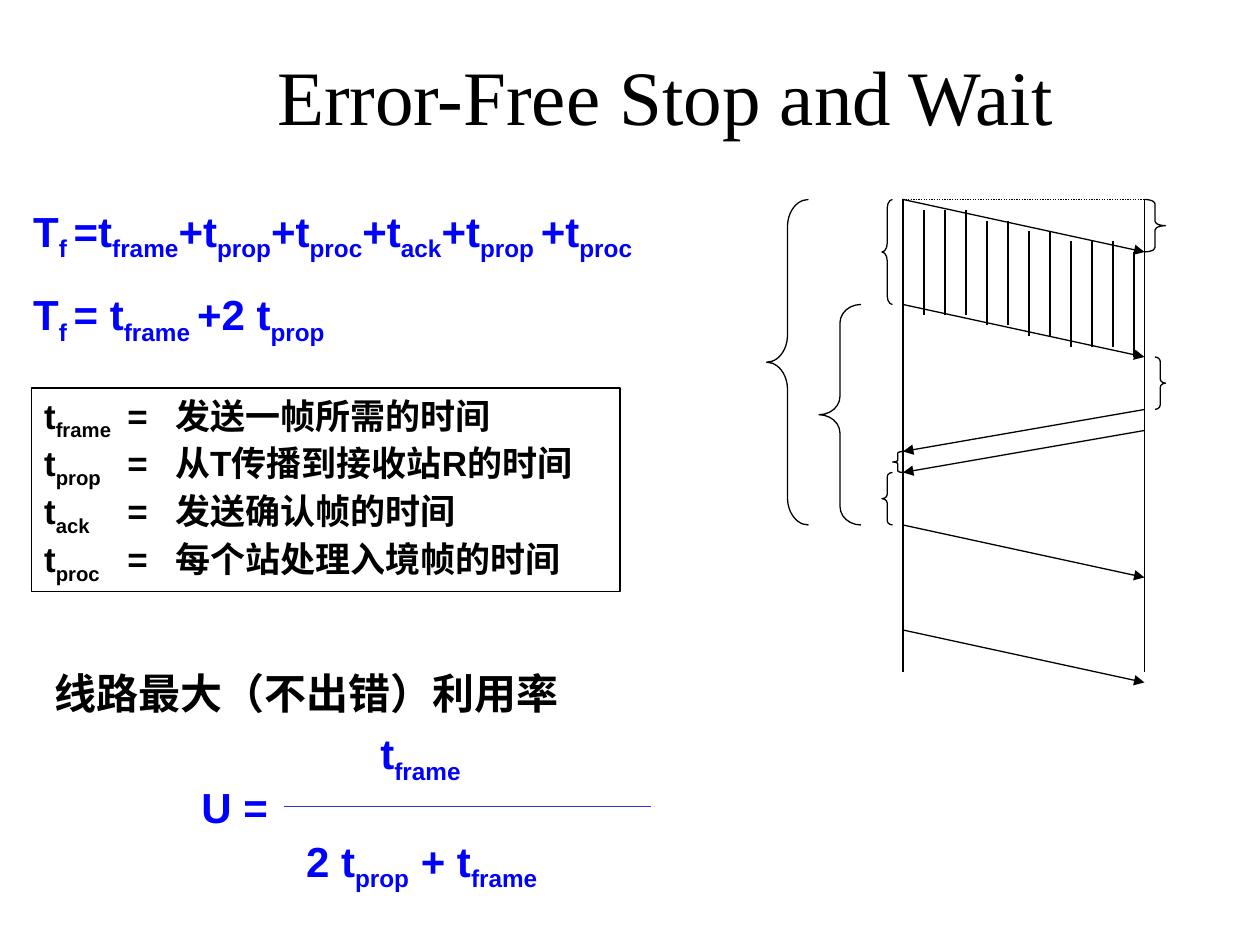
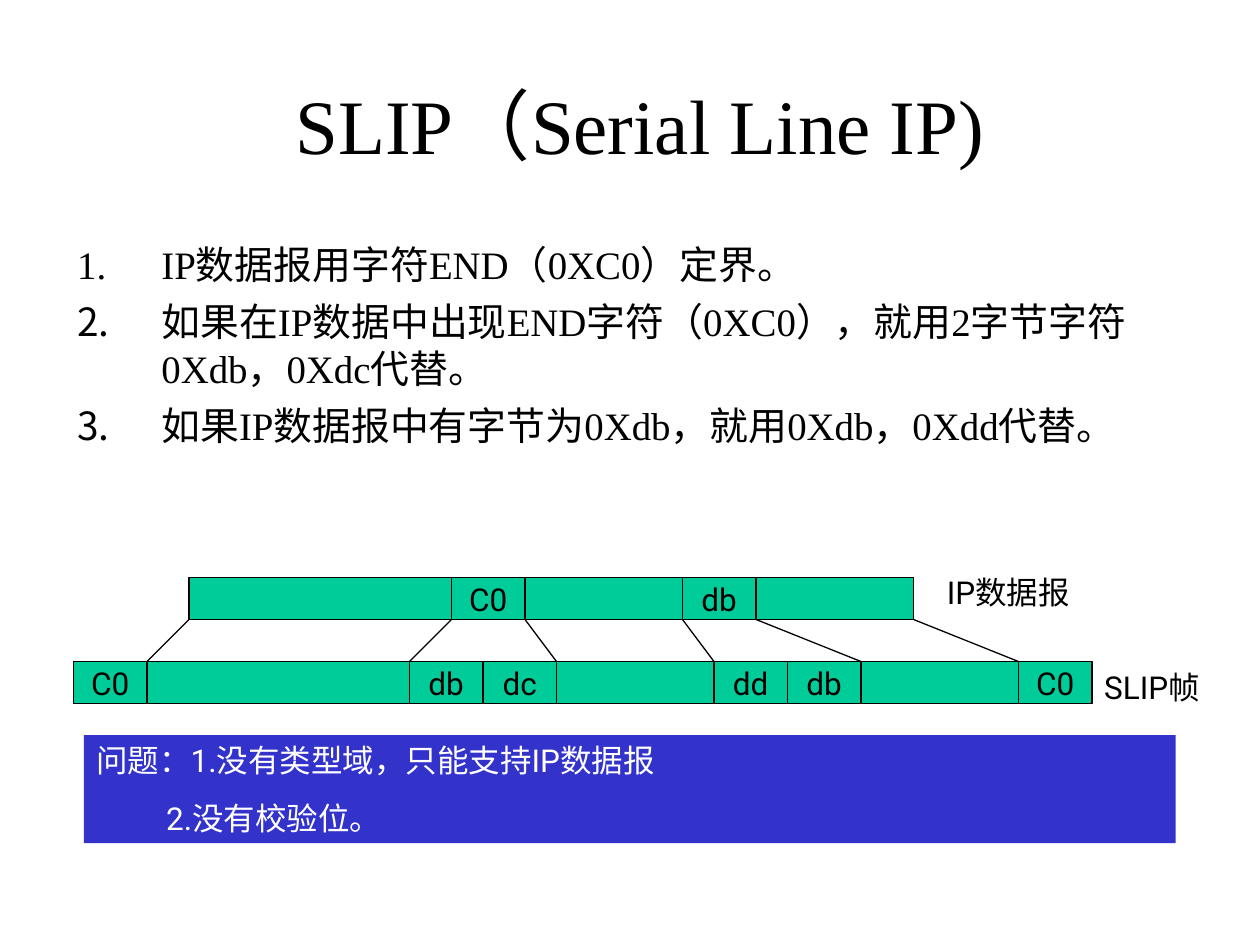
"""Build two data-link slides: stop-and-wait timing and SLIP framing."""
from itertools import accumulate

from lxml import etree
from pptx import Presentation
from pptx import util as u
from pptx.dml.color import RGBColor
from pptx.enum import dml, shapes, text
from pptx.oxml.ns import qn

BLACK = RGBColor(0x00, 0x00, 0x00)
WHITE = RGBColor(0xFF, 0xFF, 0xFF)
BLUE = RGBColor(0x00, 0x00, 0xFF)
INDIGO = RGBColor(0x33, 0x33, 0xCC)
GREEN = RGBColor(0x00, 0xCC, 0x99)
STEP = u.Cm(2.54) // 12
THIN = u.Pt(0.75)
LEFT, CENTER = text.PP_ALIGN.LEFT, text.PP_ALIGN.CENTER
TOP, MIDDLE = text.MSO_ANCHOR.TOP, text.MSO_ANCHOR.MIDDLE
RECT = shapes.MSO_SHAPE.RECTANGLE


def write(sp, content, font="Arial", size=24, color=BLACK, bold=False, align=LEFT,
          anchor=TOP, before=0, tabs=(), hanging=None, wrap=True):
    """Fill a shape with one paragraph per line; _x_ marks a subscript."""
    tf = sp.text_frame
    tf.word_wrap = wrap
    tf.auto_size = text.MSO_AUTO_SIZE.NONE
    tf.vertical_anchor = anchor
    for i, line in enumerate(content.split("\n")):
        p = tf.paragraphs[0] if i == 0 else tf.add_paragraph()
        pPr = p._p.get_or_add_pPr()
        if hanging:
            pPr.set("marL", str(hanging))
            pPr.set("indent", str(-hanging))
            etree.SubElement(pPr, qn("a:buFont"), typeface="+mj-lt")
            etree.SubElement(pPr, qn("a:buAutoNum"), type="arabicPeriod")
        if tabs:
            tab_list = etree.SubElement(pPr, qn("a:tabLst"))
            for pos in tabs:
                etree.SubElement(tab_list, qn("a:tab"), pos=str(pos), algn="l")
        p.alignment = align
        p.space_before = u.Pt(before if i else 0)
        for j, part in enumerate(line.split("_")):
            if part:
                r = p.add_run()
                r.text = part
                r.font.name, r.font.size, r.font.bold = font, u.Pt(size), bold
                r.font.color.rgb = color
                if j % 2:
                    r.font._element.set("baseline", "-25000")


def connect(slide, x1, y1, x2, y2, color=BLACK, arrow=False):
    """Draw a thin line between two points given in grid steps."""
    ends = [int(v * STEP) for v in (x1, y1, x2, y2)]
    ln = slide.shapes.add_connector(shapes.MSO_CONNECTOR.STRAIGHT, *ends)
    ln.line.color.rgb = color
    ln.line.width = THIN
    etree.SubElement(ln._element.spPr, qn("a:effectLst"))
    if arrow:
        etree.SubElement(ln.line._get_or_add_ln(), qn("a:tailEnd"), type="triangle")
    return ln


prs = Presentation()
prs.slide_width, prs.slide_height = u.Cm(25.4), u.Cm(19.05)
wait = prs.slides.add_slide(prs.slide_layouts[5])
slip = prs.slides.add_slide(prs.slide_layouts[1])

for s, title, box in (
    (wait, "Error-Free Stop and Wait", (3.1, 0, 20.62, 3.81)),
    (slip, "SLIP（Serial Line IP)", (2.11, 0.91, 21.59, 3.18)),
):
    sp = s.shapes.title
    sp.left, sp.top, sp.width, sp.height = map(u.Cm, box)
    write(sp, title, font="Times New Roman", size=44, align=CENTER, anchor=MIDDLE)

definitions = wait.shapes.add_shape(RECT, *map(u.Cm, (0.64, 7.82, 11.86, 4.11)))
definitions.shadow.inherit = False
definitions.fill.background()
definitions.line.color.rgb = BLACK
definitions.line.width = THIN
write(definitions,
      "t_frame_\t=\t发送一帧所需的时间\n"
      "t_prop_\t=\t从T传播到接收站R的时间\n"
      "t_ack_\t=\t发送确认帧的时间\n"
      "t_proc_\t=\t每个站处理入境帧的时间",
      size=20, bold=True, tabs=(u.Cm(1.68), u.Cm(2.64)))

for content, color, box in (
    ("U =", BLUE, (3.81, 15.62, 2.11, 1.27)),
    ("2 t_prop_ + t_frame_", BLUE, (5.92, 16.71, 7.42, 1.42)),
    ("t_frame_", BLUE, (7.42, 14.55, 3.38, 1.42)),
    ("T_f _=t_frame_+t_prop_+t_proc_+t_ack_+t_prop _+t_proc_\n"
     "T_f _= t_frame _+2 t_prop_", BLUE, (0.42, 4.01, 14.61, 4.78)),
    ("线路最大（不出错）利用率", BLACK, (0.85, 13.34, 10.8, 1.27)),
):
    sp = wait.shapes.add_textbox(*map(u.Cm, box))
    write(sp, content, color=color, bold=True, before=15)
connect(wait, 27, 76.8, 62, 76.8, color=INDIGO)

SENDER, RECEIVER = 86, 109
for x in (SENDER, RECEIVER):
    connect(wait, x, 19, x, 64)
for y in (19, 29, 50, 60):
    connect(wait, SENDER, y, RECEIVER, y + 5, arrow=True)
for y in (39, 41):
    connect(wait, RECEIVER, y, SENDER, y + 4, arrow=True)
start = connect(wait, SENDER, 19, RECEIVER, 19)
start.line.dash_style = dml.MSO_LINE.ROUND_DOT
for i, y in enumerate((20, 20, 20, 21, 21, 22, 22, 23, 23, 23, 24)):
    x = SENDER + 2 * (i + 1)
    connect(wait, x, y, x, y + 10)

for x, y, w, h in ((84, 19, 1, 10), (109, 19, 2, 5), (110, 34, 1, 5), (85, 43, 1, 2),
                   (84, 45, 1, 5), (78, 29, 4, 21), (73, 19, 4, 31)):
    kind = shapes.MSO_SHAPE.LEFT_BRACE if x < SENDER else shapes.MSO_SHAPE.RIGHT_BRACE
    brace = wait.shapes.add_shape(kind, x * STEP, y * STEP, w * STEP, h * STEP)
    brace.adjustments[0] = h / (12 * w)
    brace.shadow.inherit = False
    brace.fill.background()
    brace.line.color.rgb = BLACK
    brace.line.width = THIN

rules = slip.placeholders[1]
rules.left, rules.top, rules.width, rules.height = map(u.Cm, (1.3, 4.72, 23.39, 5.18))
write(rules,
      "IP数据报用字符END（0XC0）定界。\n"
      "如果在IP数据中出现END字符（0XC0），就用2字节字符0Xdb，0Xdc代替。\n"
      "如果IP数据报中有字节为0Xdb，就用0Xdb，0Xdd代替。",
      font="Times New Roman", size=22.2, before=6, hanging=u.Cm(1.7))

BYTE, SHORT, LONG = 7, 15, 25
for x0, y, fields in (
    (18, 55, (("", LONG), ("C0", BYTE), ("", SHORT), ("db", BYTE), ("", SHORT))),
    (7, 63, (("C0", BYTE), ("", LONG), ("db", BYTE), ("dc", BYTE), ("", SHORT),
             ("dd", BYTE), ("db", BYTE), ("", SHORT), ("C0", BYTE))),
):
    lefts = accumulate((w for _, w in fields), initial=x0)
    for x, (label, w) in zip(lefts, fields):
        sp = slip.shapes.add_shape(RECT, x * STEP, y * STEP, w * STEP, 4 * STEP)
        sp.shadow.inherit = False
        sp.fill.solid()
        sp.fill.fore_color.rgb = GREEN
        sp.line.color.rgb = BLACK
        sp.line.width = THIN
        if label:
            write(sp, label, font="Roboto", size=18, align=CENTER, anchor=MIDDLE, wrap=False)

for x_datagram, x_frame in ((18, 14), (43, 39), (50, 53), (65, 68), (72, 82), (87, 97)):
    connect(slip, x_datagram, 59, x_frame, 63)

for label, box in (("IP数据报", (18.84, 11.43, 3.39, 1.02)),
                   ("SLIP帧", (22.01, 13.34, 2.97, 1.02))):
    sp = slip.shapes.add_textbox(*map(u.Cm, box))
    write(sp, label, font="Roboto", size=18)

problems = slip.shapes.add_shape(RECT, *map(u.Cm, (1.69, 14.82, 22.01, 2.18)))
problems.shadow.inherit = False
problems.fill.solid()
problems.fill.fore_color.rgb = INDIGO
problems.line.fill.background()
write(problems, "问题：1.没有类型域，只能支持IP数据报\n2.没有校验位。",
      font="Roboto", size=18, color=WHITE, before=11.2)
problems.text_frame.paragraphs[1]._p.pPr.set("marL", str(u.Cm(1.41)))

prs.save("out.pptx")
